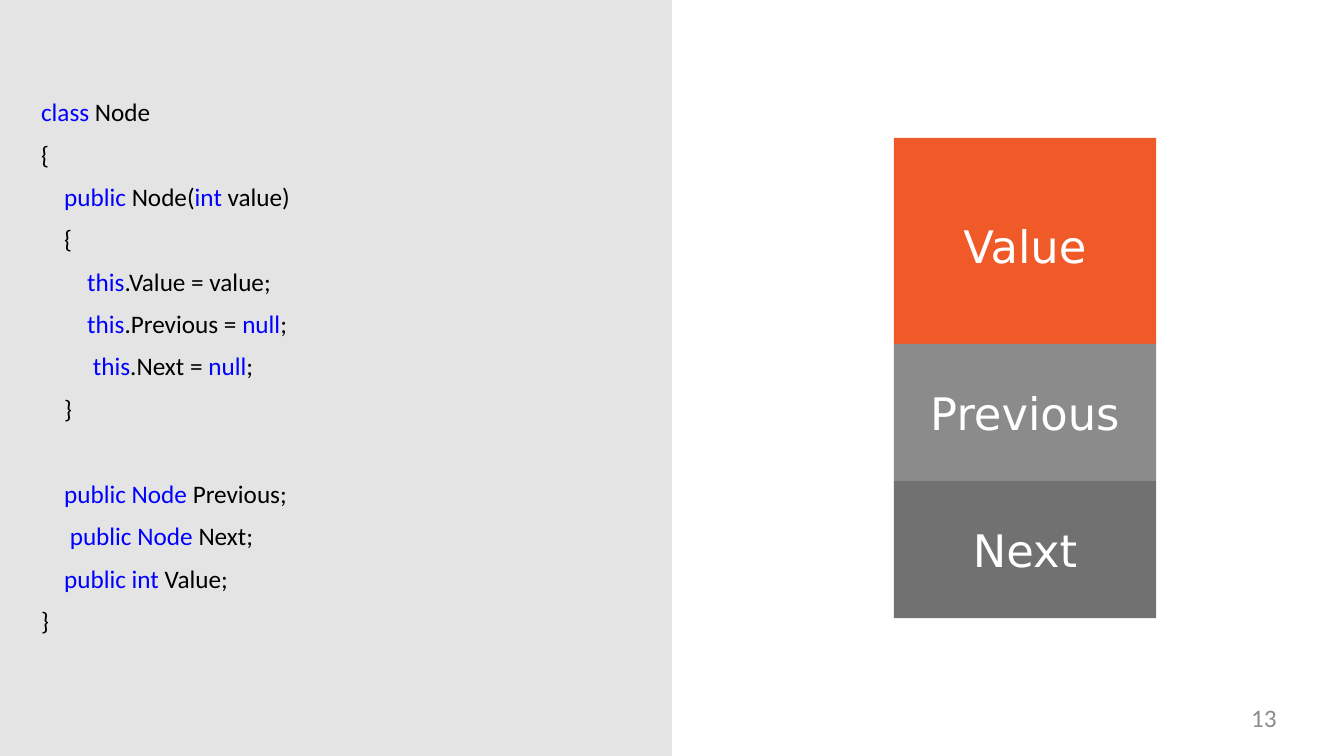
from pptx import Presentation
from pptx.dml.color import RGBColor
from pptx.enum.shapes import MSO_SHAPE
from pptx.enum.text import MSO_ANCHOR, PP_ALIGN
from pptx.util import Pt

KEYWORD, PLAIN = "0000FF", "000000"
INDENT, LINE_GAP, LINE_PITCH = 16.5, 8.65, 30.62
CLASS_LINE = "class |Node"
BODY_LINES = [
    (0, "|{"),
    (1, "public |Node(|int |value)"),
    (1, "|{"),
    (2, "this|.Value = value;"),
    (2, "this|.Previous = |null|;"),
    (2, " this|.Next = |null|;"),
    (1, "|}"),
    (1, "public Node |Previous;"),
    (1, " public Node |Next;"),
    (1, "public int |Value;"),
    (0, "|}"),
]
FIRST_FIELD = 7
NODE_PARTS = [
    ("Value", 147, "EF5A28", 7),
    ("Previous", 98, "8B8B8B", 0),
    ("Next", 98, "717171", 0),
]


def rgb(value):
    return RGBColor.from_string(value)


def paint(shape, color):
    shape.shadow.inherit = False
    shape.fill.solid()
    shape.fill.fore_color.rgb = rgb(color)
    shape.line.fill.background()


def prepare_frame(shape, anchor=MSO_ANCHOR.TOP, top=0):
    frame = shape.text_frame
    frame.word_wrap = True
    frame.vertical_anchor = anchor
    frame.margin_left = frame.margin_right = frame.margin_bottom = 0
    frame.margin_top = Pt(top)
    return frame


def write(paragraph, text, colors=(PLAIN,), font="Calibri", size=18,
          align=PP_ALIGN.LEFT, before=0):
    paragraph.alignment = align
    paragraph.line_spacing = 1.0
    paragraph.space_before = Pt(before)
    for position, part in enumerate(text.split("|")):
        if part:
            run = paragraph.add_run()
            run.text = part
            run.font.name = font
            run.font.size = Pt(size)
            run.font.bold = False
            run.font.color.rgb = rgb(colors[position % len(colors)])


def draw_code(slide, left, top, width):
    heading = slide.shapes.title
    heading.left, heading.top = Pt(left), Pt(top)
    heading.width, heading.height = Pt(width), Pt(24)
    write(prepare_frame(heading).paragraphs[0], CLASS_LINE, colors=(KEYWORD, PLAIN))

    body = slide.shapes.add_textbox(Pt(left), Pt(top + LINE_PITCH), Pt(width),
                                    Pt(LINE_PITCH * (len(BODY_LINES) + 1)))
    frame = prepare_frame(body)
    for number, (level, line) in enumerate(BODY_LINES):
        paragraph = frame.add_paragraph() if number else frame.paragraphs[0]
        gap = LINE_GAP if number else 0
        if number == FIRST_FIELD:
            gap += LINE_PITCH
        paragraph_properties = paragraph._p.get_or_add_pPr()
        paragraph_properties.set("marL", str(Pt(level * INDENT)))
        write(paragraph, line, colors=(KEYWORD, PLAIN), before=gap)


def draw_node(slide, left, top, width):
    for name, height, color, drop in NODE_PARTS:
        part = slide.shapes.add_shape(MSO_SHAPE.RECTANGLE, Pt(left), Pt(top),
                                      Pt(width), Pt(height))
        paint(part, color)
        frame = prepare_frame(part, anchor=MSO_ANCHOR.MIDDLE, top=drop)
        write(frame.paragraphs[0], name, colors=("FFFFFF",), font="DejaVu Sans",
              size=32, align=PP_ALIGN.CENTER)
        top += height


def draw_page_number(slide, left, top, width, height):
    number = slide.shapes.add_textbox(Pt(left), Pt(top), Pt(width), Pt(height))
    write(prepare_frame(number).paragraphs[0], "13", colors=("8C8C8C",),
          align=PP_ALIGN.RIGHT)


def draw_panel(slide, left, top, width, height):
    panel = slide.shapes.add_shape(MSO_SHAPE.RECTANGLE, Pt(left), Pt(top),
                                   Pt(width), Pt(height))
    paint(panel, "E4E4E4")
    slide.shapes.title._element.addprevious(panel._element)


def main():
    deck = Presentation()
    deck.slide_width, deck.slide_height = Pt(960), Pt(540)
    slide = deck.slides.add_slide(deck.slide_layouts[5])
    draw_panel(slide, 0, 0, 480, 540)
    draw_code(slide, 29.3, 68.7, 400)
    draw_node(slide, 638.6, 98.6, 187.2)
    draw_page_number(slide, 691, 502, 221, 27)
    deck.save("out.pptx")


if __name__ == "__main__":
    main()
